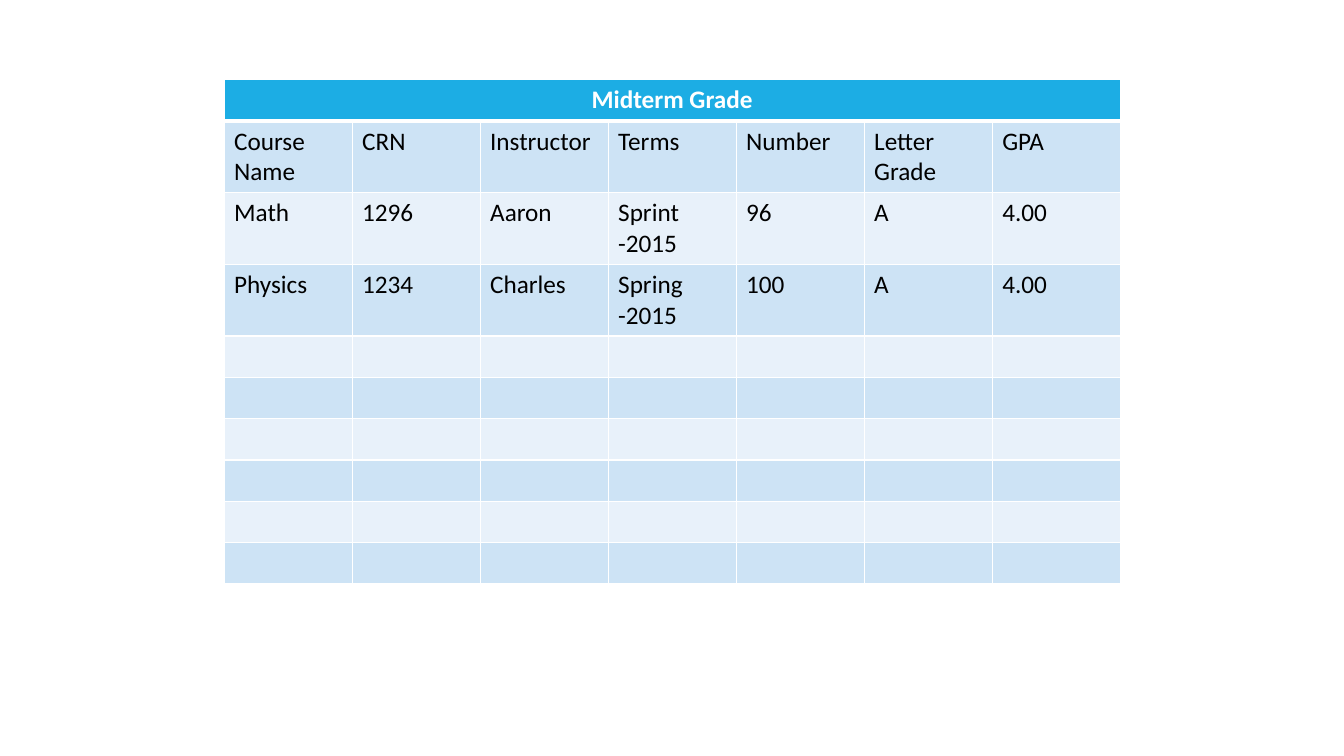
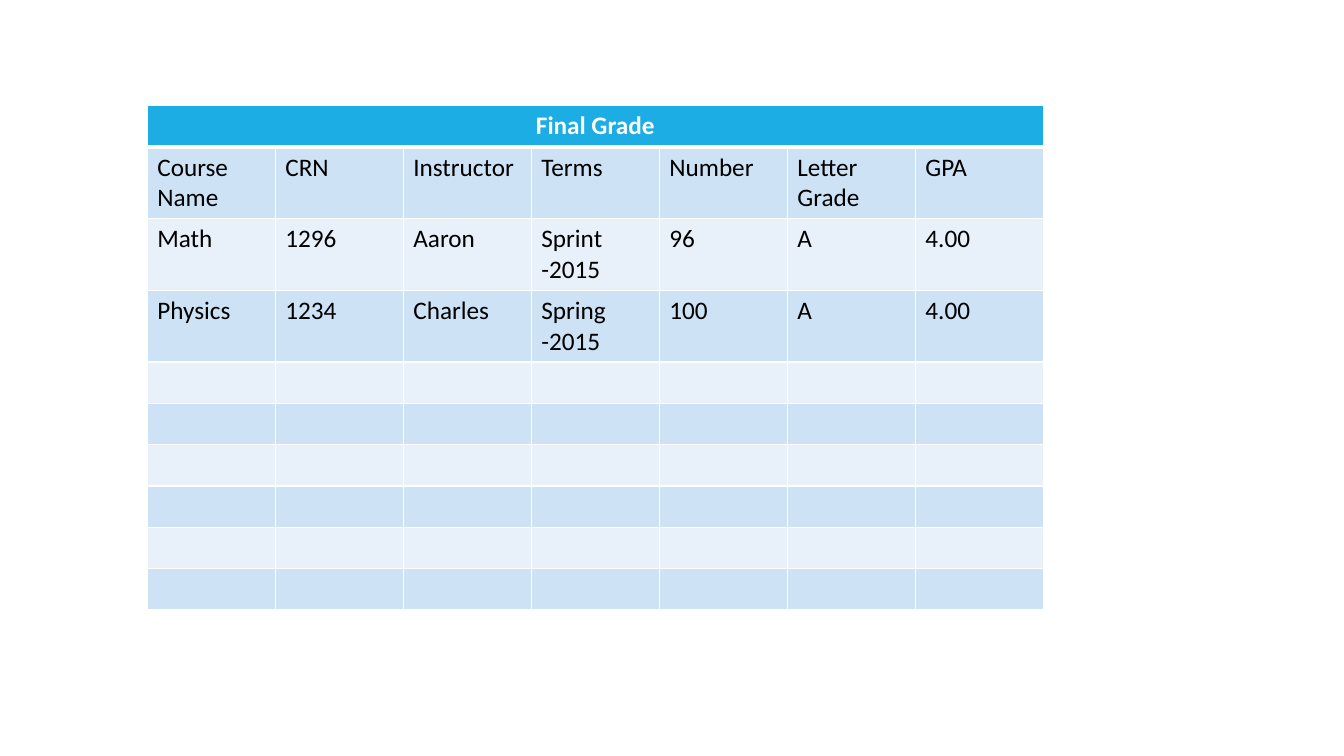
"""Build two slides, each with a grade table."""
from dataclasses import dataclass

from lxml import etree
from pptx import Presentation
from pptx.dml.color import RGBColor
from pptx.enum.text import PP_ALIGN
from pptx.oxml.ns import qn
from pptx.util import Inches, Pt


@dataclass(frozen=True)
class Theme:
    font: str = "Calibri"
    size: int = 18
    header: str = "1CADE4"
    bands: tuple = ("CDE3F5", "E8F1FA")
    text: str = "000000"
    header_text: str = "FFFFFF"
    border: str = "FFFFFF"
    thin: int = 1
    thick: int = 3
    column: float = 1.27
    row: float = 0.41


class Deck:
    def __init__(self, theme):
        self.theme = theme
        self.presentation = Presentation()
        self.presentation.slide_width = Inches(13.33)
        self.presentation.slide_height = Inches(7.5)
        self.slide = None

    def new_slide(self):
        self.slide = self.presentation.slides.add_slide(self.presentation.slide_layouts[6])

    def columns(self, count):
        return Inches(count * self.theme.column)

    def rows(self, count):
        return Inches(count * self.theme.row)

    def border(self, cell, side, width):
        line = etree.SubElement(cell._tc.get_or_add_tcPr(), qn(f"a:ln{side}"), w=str(Pt(width)))
        fill = etree.SubElement(line, qn("a:solidFill"))
        etree.SubElement(fill, qn("a:srgbClr"), val=self.theme.border)

    def cell(self, cell, text, row):
        theme = self.theme
        is_header = row == 0
        heavy_side = {0: "B", 1: "T"}.get(row)
        for side in "LRTB":
            self.border(cell, side, theme.thick if side == heavy_side else theme.thin)
        cell.fill.solid()
        color = theme.header if is_header else theme.bands[(row - 1) % 2]
        cell.fill.fore_color.rgb = RGBColor.from_string(color)
        if not text:
            return
        paragraph = cell.text_frame.paragraphs[0]
        paragraph.alignment = PP_ALIGN.CENTER if is_header else PP_ALIGN.LEFT
        run = paragraph.add_run()
        run.text = text
        run.font.name = theme.font
        run.font.size = Pt(theme.size)
        run.font.bold = is_header
        run.font.color.rgb = RGBColor.from_string(theme.header_text if is_header else theme.text)

    def grade_table(self, title, records, left, top, row_count=10, height=12.05):
        column_count = len(records[0])
        frame = self.slide.shapes.add_table(
            row_count, column_count, self.columns(left), self.rows(top),
            self.columns(column_count), self.rows(height))
        table = frame.table
        for row in table.rows:
            row.height = self.rows(1)
        frame.height = self.rows(height)
        table.cell(0, 0).merge(table.cell(0, column_count - 1))
        lines = [[title], *records]
        for r in range(row_count):
            line = lines[r] if r < len(lines) else []
            for c in range(column_count):
                self.cell(table.cell(r, c), line[c] if c < len(line) else "", r)


GRADES = [
    ["Course Name", "CRN", "Instructor", "Terms", "Number", "Letter Grade", "GPA"],
    ["Math", "1296", "Aaron", "Sprint -2015", "96", "A", "4.00"],
    ["Physics", "1234", "Charles", "Spring -2015", "100", "A", "4.00"],
]

deck = Deck(Theme())
for title, left, top in [("Midterm Grade", 1.75, 1.93), ("Final Grade", 1.15, 2.56)]:
    deck.new_slide()
    deck.grade_table(title, GRADES, left, top)
deck.presentation.save("out.pptx")
